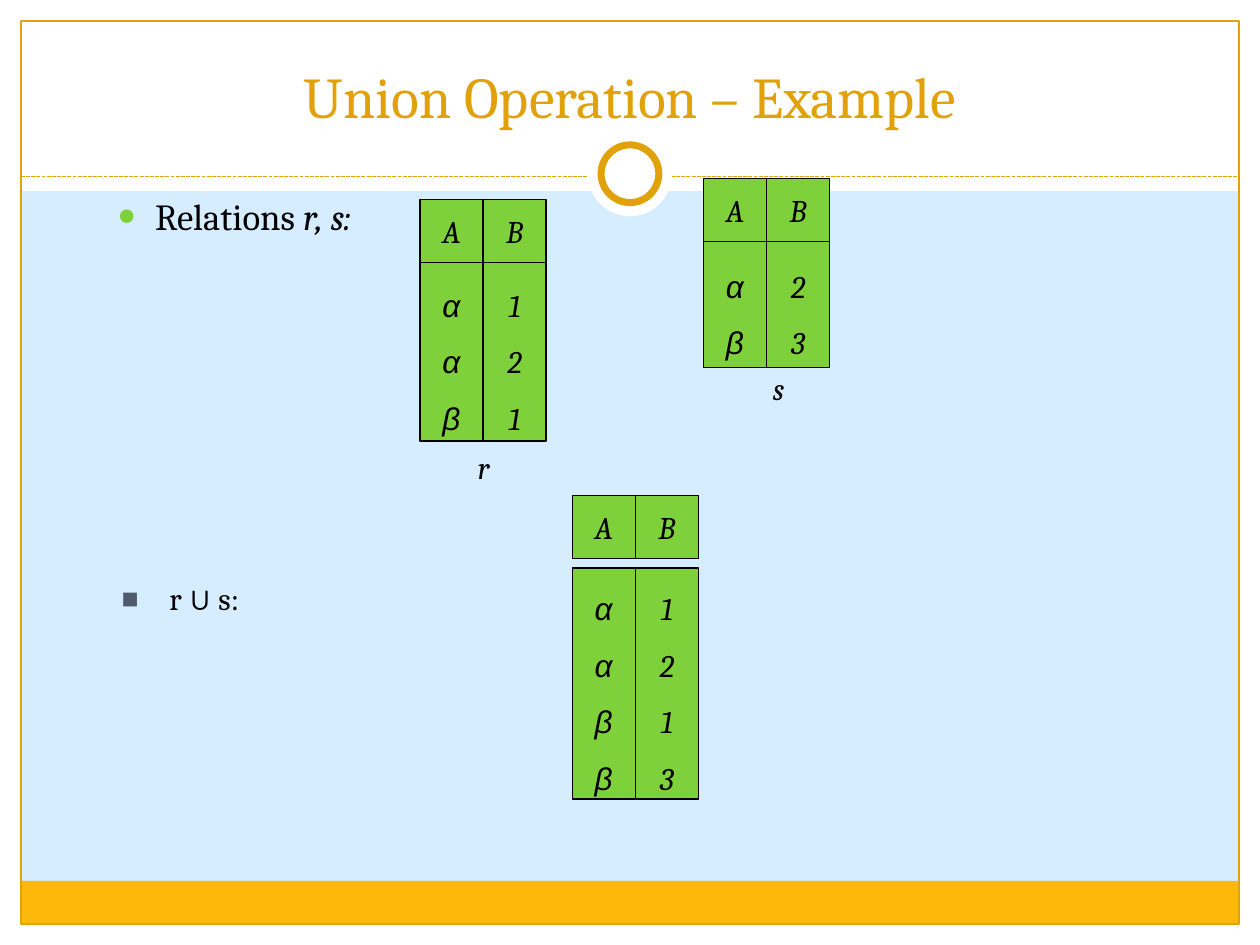
import pptx
import pptx.dml.color
import pptx.enum.dml
import pptx.enum.shapes
import pptx.enum.text
import pptx.oxml
import pptx.oxml.ns
import pptx.util

RGB = pptx.dml.color.RGBColor
SKY = RGB(0xD6, 0xEC, 0xFF)
WHITE = RGB(0xFF, 0xFF, 0xFF)
AMBER = RGB(0xFE, 0xB8, 0x0A)
GOLD = RGB(0xE0, 0xA2, 0x08)
GREEN = RGB(0x7F, 0xD1, 0x3B)
SLATE = RGB(0x4E, 0x5B, 0x6F)
BLACK = RGB(0, 0, 0)

PRESET = pptx.enum.shapes.MSO_SHAPE
ANCHOR = pptx.enum.text.MSO_ANCHOR
CENTER = pptx.enum.text.PP_ALIGN.CENTER
COLUMNS, ROWS = 120, 90
CELL = 6


def write(frame, paragraphs, size=18, font="Cambria", color=BLACK, italic=False,
          align=None, anchor=ANCHOR.TOP, wrap=True, spacing=None, before=None, bullet=None):
    """Fill a frame with paragraphs, each a list of (text, run overrides)."""
    frame.word_wrap = wrap
    frame.vertical_anchor = anchor
    for index, runs in enumerate(paragraphs):
        paragraph = frame.paragraphs[0] if index == 0 else frame.add_paragraph()
        if bullet:
            add_bullet(paragraph, **bullet)
        paragraph.alignment = align
        paragraph.line_spacing = spacing
        if before and index:
            paragraph.space_before = pptx.util.Pt(before)
        for text, changes in runs:
            run = paragraph.add_run()
            run.text = text
            run.font.size = pptx.util.Pt(size)
            run.font.name = changes.get("font", font)
            run.font.italic = changes.get("italic", italic)
            run.font.color.rgb = color


def add_bullet(paragraph, mark, color, percent, indent):
    """Give a paragraph a hanging bullet."""
    properties = paragraph._p.get_or_add_pPr()
    hang = pptx.util.Inches(indent)
    properties.set("marL", str(hang))
    properties.set("indent", str(-hang))
    space = pptx.oxml.ns.nsdecls("a")
    for xml in (f'<a:buClr {space}><a:srgbClr val="{color}"/></a:buClr>',
                f'<a:buSzPct {space} val="{percent * 1000}"/>',
                f'<a:buFont {space} typeface="Arial"/>',
                f'<a:buChar {space} char="{mark}"/>'):
        properties.append(pptx.oxml.parse_xml(xml))


class SlideBuilder:
    """Draws styled elements on one slide, measured in grid columns and rows."""

    def __init__(self, deck):
        self.slide = deck.slides.add_slide(deck.slide_layouts[6])
        self.column = deck.slide_width / COLUMNS
        self.row = deck.slide_height / ROWS
        fill = self.slide.background.fill
        fill.solid()
        fill.fore_color.rgb = SKY

    def place(self, left, top, width, height):
        """Turn grid units into slide lengths."""
        return (round(left * self.column), round(top * self.row),
                round(width * self.column), round(height * self.row))

    def shape(self, *box, preset=PRESET.RECTANGLE, fill=None, line=None, weight=0.75):
        """Add a preset shape."""
        shape = self.slide.shapes.add_shape(preset, *self.place(*box))
        shape.shadow.inherit = False
        if fill is None:
            shape.fill.background()
        else:
            shape.fill.solid()
            shape.fill.fore_color.rgb = fill
        if line is None:
            shape.line.fill.background()
        else:
            shape.line.color.rgb = line
            shape.line.width = pptx.util.Pt(weight)
        return shape

    def divider(self, left, right, row):
        """Add a dashed horizontal line."""
        start, y, end, _ = self.place(left, row, right, 0)
        line = self.slide.shapes.add_connector(
            pptx.enum.shapes.MSO_CONNECTOR.STRAIGHT, start, y, end, y)
        line.line.color.rgb = GOLD
        line.line.width = pptx.util.Pt(0.75)
        line.line.dash_style = pptx.enum.dml.MSO_LINE.SQUARE_DOT
        line._element.spPr.append(pptx.oxml.parse_xml(
            f'<a:effectLst {pptx.oxml.ns.nsdecls("a")}/>'))

    def text(self, *box, runs, **style):
        """Add a one-paragraph text box."""
        frame = self.slide.shapes.add_textbox(*self.place(*box)).text_frame
        write(frame, [runs], **style)

    def relation(self, left, top, height, columns, gap=0):
        """Add a relation: a header cell above a tall value cell per attribute."""
        for index, (attribute, values, font) in enumerate(columns):
            x = left + index * CELL
            for y, tall, entries, face, spacing in (
                    (top, CELL, attribute, "Cambria", None),
                    (top + CELL + gap, height, values, font, 1.5)):
                cell = self.shape(x, y, CELL, tall, fill=GREEN, line=BLACK)
                write(cell.text_frame, [[(entry, {})] for entry in entries], font=face,
                      italic=True, align=CENTER, anchor=ANCHOR.MIDDLE, wrap=False,
                      spacing=spacing)

    def caption(self, left, top, name):
        """Add the name of a relation."""
        self.text(left, top, 3.7, 4.8, runs=[(name, {})], italic=True, align=CENTER,
                  anchor=ANCHOR.MIDDLE, wrap=False)


def main():
    """Build the slide."""
    deck = pptx.Presentation()
    deck.slide_width = pptx.util.Inches(10)
    deck.slide_height = pptx.util.Inches(7.5)
    page = SlideBuilder(deck)

    for band in ((0, 88, 120, 2), (0, 0, 120, 18.2), (0, 0, 2, 90), (118, 0, 2, 90)):
        page.shape(*band, fill=WHITE)
    page.shape(2, 83.9, 116, 4.1, fill=AMBER)
    page.shape(2, 2, 116, 86, line=GOLD)
    page.divider(2, 118, 16.8)
    page.shape(56, 12.6, 8, 8, preset=PRESET.OVAL, fill=WHITE)
    page.shape(57.25, 13.8, 5.5, 5.5, preset=PRESET.OVAL, fill=WHITE, line=GOLD, weight=4)

    page.text(4, 3, 112, 10, runs=[("Union Operation – Example", {})], size=33,
              color=GOLD, align=CENTER, anchor=ANCHOR.BOTTOM)
    page.text(10, 19, 90, 4.4, runs=[("Relations ", {}), ("r, s:", {"italic": True})],
              size=21, spacing=0.7,
              bullet=dict(mark="●", color=GREEN, percent=85, indent=0.3))
    page.text(10.4, 55, 92.3, 4.3, runs=[("r ", {}), ("∪", {"font": "Arial"}), (" s:", {})],
              spacing=0.9, bullet=dict(mark="■", color=SLATE, percent=90, indent=0.38))

    page.relation(40, 19, 17, [("A", "ααβ", "Arial"), ("B", "121", "Cambria")])
    page.relation(67, 17, 12, [("A", "αβ", "Arial"), ("B", "23", "Cambria")])
    page.caption(44.2, 42.1, "r")
    page.caption(72.3, 34.5, "s")
    page.relation(54.5, 47.2, 22, [("A", "ααββ", "Arial"), ("B", "1213", "Cambria")], gap=0.9)

    deck.save("out.pptx")


if __name__ == "__main__":
    main()
